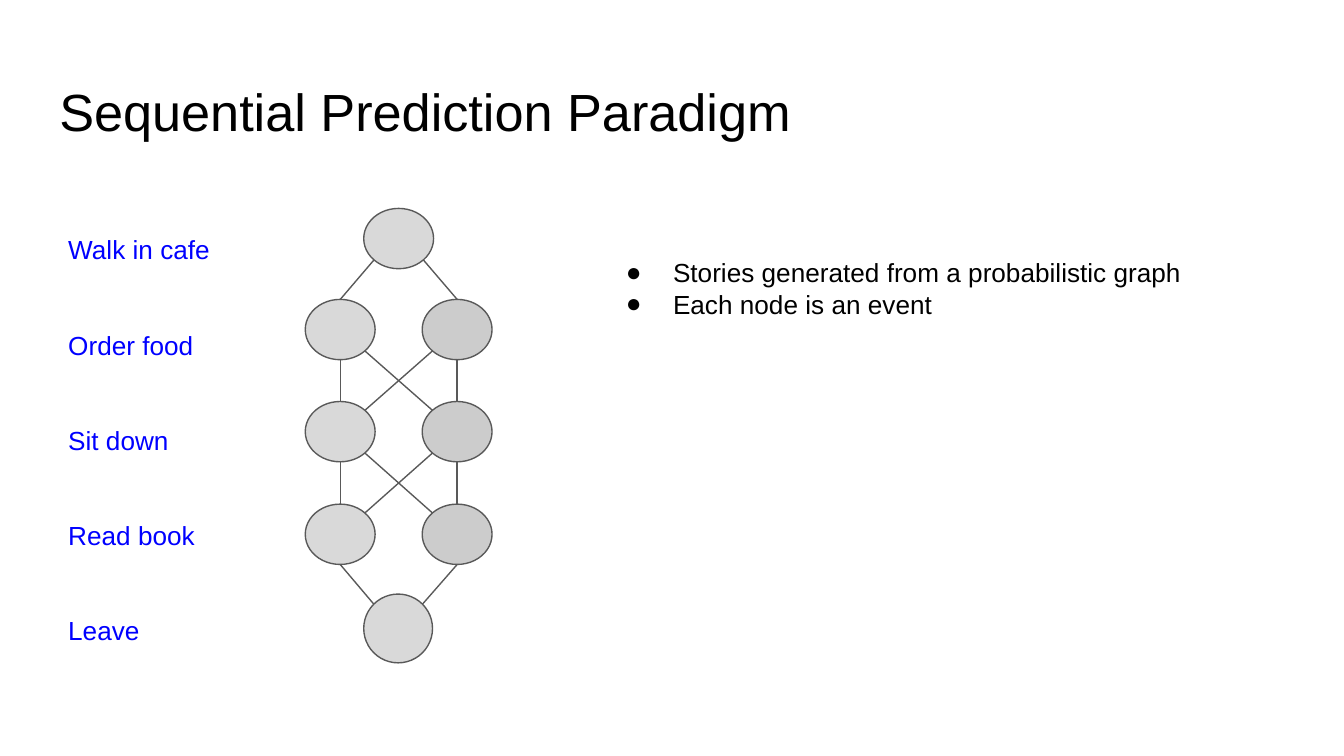
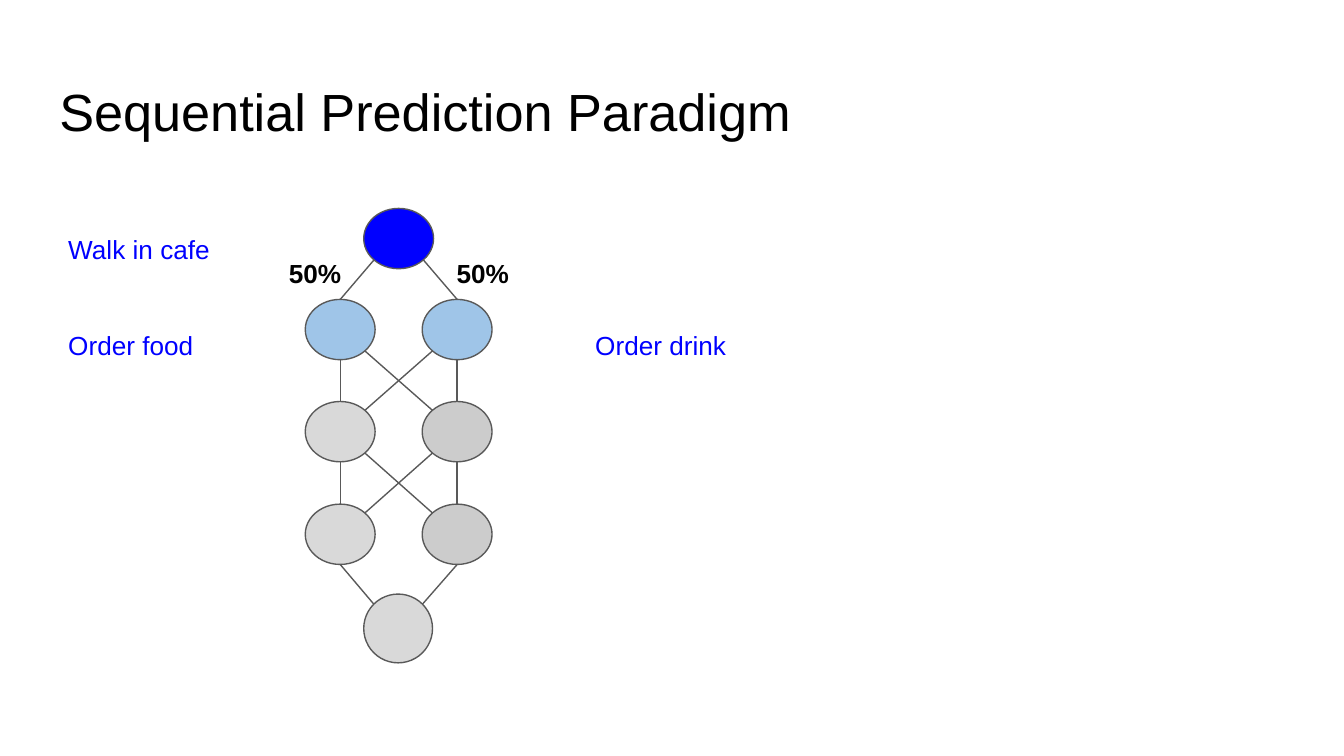
from math import sqrt
from lxml.etree import SubElement
from pptx import Presentation
from pptx.dml.color import RGBColor
from pptx.enum.shapes import MSO_CONNECTOR, MSO_SHAPE
from pptx.enum.text import MSO_ANCHOR, MSO_AUTO_SIZE, PP_ALIGN
from pptx.oxml.ns import qn
from pptx.util import Cm, Pt

BLACK = RGBColor(0x00, 0x00, 0x00)
BLUE = RGBColor(0x00, 0x00, 0xFF)
SKY = RGBColor(0x9F, 0xC5, 0xE8)
PALE = RGBColor(0xD9, 0xD9, 0xD9)
GREY = RGBColor(0xCC, 0xCC, 0xCC)
EDGE = RGBColor(0x59, 0x59, 0x59)

FONT = "Arial"
TITLE = "Sequential Prediction Paradigm"
SLIDES = [
    {
        "left": ["Walk in cafe", "Order food", "Sit down", "Read book", "Leave"],
        "right": {},
        "odds": [],
        "points": ["Stories generated from a probabilistic graph", "Each node is an event"],
        "fills": {},
    },
    {
        "left": ["Walk in cafe", "Order food"],
        "right": {1: "Order drink"},
        "odds": ["50%", "50%"],
        "points": [],
        "fills": {"start": BLUE, "L1": SKY, "R1": SKY},
    },
]

WIDE, HIGH = 1.32, 1.14
LEFT, RIGHT = 5.77, 7.98
MID = (LEFT + RIGHT) / 2
ROWS = [5.66, 7.59, 9.53]
NODES = {"start": (MID, 3.94, WIDE, HIGH, PALE), "end": (MID, 11.23, 1.3, 1.3, PALE)}
for row, top in enumerate(ROWS, 1):
    NODES[f"L{row}"] = (LEFT, top, WIDE, HIGH, PALE)
    NODES[f"R{row}"] = (RIGHT, top, WIDE, HIGH, GREY)

DIAG = 1 / sqrt(2)
SITES = {"N": (0, -1), "S": (0, 1), "NW": (-DIAG, -DIAG), "NE": (DIAG, -DIAG),
         "SW": (-DIAG, DIAG), "SE": (DIAG, DIAG)}
LINKS = [("start", "SW", "L1", "N"), ("start", "SE", "R1", "N"),
         ("L3", "S", "end", "NW"), ("R3", "S", "end", "NE")]
for row in range(1, len(ROWS)):
    LINKS += [(f"L{row}", "S", f"L{row + 1}", "N"), (f"R{row}", "S", f"R{row + 1}", "N"),
              (f"L{row}", "SE", f"R{row + 1}", "NW"), (f"R{row}", "SW", f"L{row + 1}", "NE")]

LABEL_TOP, LABEL_STEP = 4.17, 1.8
LABEL_LEFT, LABEL_RIGHT = 1.04, 11.0
ODDS_LEFT, ODDS_STEP = 5.21, 3.17


def write(shape, lines, size, color, bold=False):
    """Fill a text shape with uniformly styled paragraphs."""
    frame = shape.text_frame
    frame.word_wrap = True
    frame.auto_size = MSO_AUTO_SIZE.NONE
    frame.vertical_anchor = MSO_ANCHOR.TOP
    frame.margin_left = frame.margin_right = Cm(0.25)
    frame.margin_top = frame.margin_bottom = Cm(0.25)
    frame.text = "\n".join(lines)
    for para in frame.paragraphs:
        para.alignment = PP_ALIGN.LEFT
        font = para.font
        font.name, font.size, font.bold = FONT, Pt(size), bold
        font.color.rgb = color
    return frame


def add_text(slide, box, lines, color, bold=False):
    """Add a text box at body size."""
    shape = slide.shapes.add_textbox(*map(Cm, box))
    return write(shape, lines, 14, color, bold)


def add_list(slide, lines):
    """Add the bulleted remarks."""
    frame = add_text(slide, (11.2, 4.6, 12.6, 6.1), lines, BLACK)
    for para in frame.paragraphs:
        props = para._p.get_or_add_pPr()
        props.set("marL", str(Cm(1.27)))
        props.set("indent", str(Cm(-0.89)))
        SubElement(props, qn("a:buFont")).set("typeface", FONT)
        SubElement(props, qn("a:buChar")).set("char", "●")


def point(name, site):
    """Return the spot on a node's rim for a compass site."""
    left, top, wide, high, _ = NODES[name]
    dx, dy = SITES[site]
    return Cm(left + wide * (1 + dx) / 2), Cm(top + high * (1 + dy) / 2)


def add_graph(slide, fills):
    """Draw the event nodes and the links between them."""
    for name, (*box, fill) in NODES.items():
        node = slide.shapes.add_shape(MSO_SHAPE.OVAL, *map(Cm, box))
        node.shadow.inherit = False
        node.fill.solid()
        node.fill.fore_color.rgb = fills.get(name, fill)
        node.line.color.rgb = EDGE
        node.line.width = Pt(0.75)
    for head, out, tail, into in LINKS:
        link = slide.shapes.add_connector(
            MSO_CONNECTOR.STRAIGHT, *point(head, out), *point(tail, into))
        link.line.color.rgb = EDGE
        link.line.width = Pt(0.75)
        SubElement(link._element.spPr, qn("a:effectLst"))


def add_slide(deck, data):
    """Build one slide of the paradigm."""
    slide = deck.slides.add_slide(deck.slide_layouts[5])
    title = slide.shapes.title
    title.left, title.top, title.width, title.height = map(Cm, (0.87, 1.24, 23.67, 1.6))
    write(title, [TITLE], 28, BLACK)
    add_graph(slide, data["fills"])
    if data["points"]:
        add_list(slide, data["points"])
    for col, text in enumerate(data["odds"]):
        add_text(slide, (ODDS_LEFT + col * ODDS_STEP, 4.62, 1.6, 1.02), [text], BLACK, True)
    labels = [(LABEL_LEFT, row, text) for row, text in enumerate(data["left"])]
    labels += [(LABEL_RIGHT, row, text) for row, text in data["right"].items()]
    for left, row, text in labels:
        add_text(slide, (left, LABEL_TOP + row * LABEL_STEP, 3.25, 0.91), [text], BLUE)


def main():
    """Build and save the deck."""
    deck = Presentation()
    deck.slide_width, deck.slide_height = Cm(25.4), Cm(14.29)
    for data in SLIDES:
        add_slide(deck, data)
    deck.save("out.pptx")


if __name__ == "__main__":
    main()
